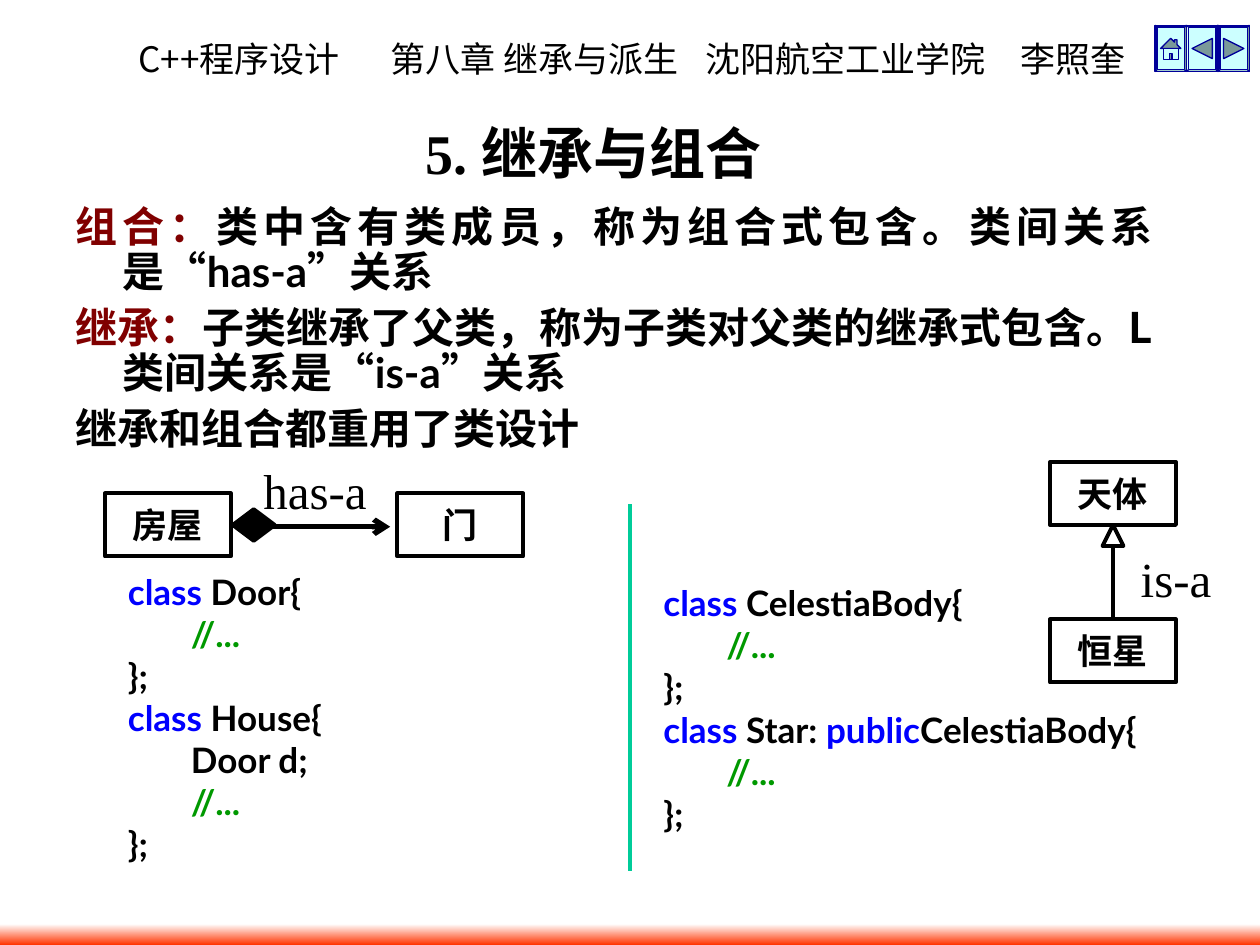
from lxml.etree import SubElement
from pptx import Presentation
from pptx.dml.color import RGBColor
from pptx.enum.shapes import MSO_CONNECTOR, MSO_SHAPE
from pptx.enum.text import MSO_ANCHOR, MSO_AUTO_SIZE, PP_ALIGN
from pptx.oxml.ns import qn
from pptx.util import Pt

BLACK, BLUE, GREEN, MAROON = "000000", "0000FF", "009900", "800000"
NAVY, PALE, GREY = "000099", "CCFFFF", "7A9999"
CJK, SERIF, SANS = "Noto Sans CJK SC", "Times New Roman", "Lato"


def write(shape, lines, size=20, font=SERIF, bold=False, align=PP_ALIGN.LEFT,
          anchor=MSO_ANCHOR.TOP, wrap=True, tabs=(), hanging=0, spacing=1, before=0):
    """Fill a shape with lines; each line is a list of (text, colour[, font]) spans."""
    frame = shape.text_frame
    frame.word_wrap, frame.vertical_anchor = wrap, anchor
    frame.auto_size = MSO_AUTO_SIZE.NONE
    for number, line in enumerate(lines):
        para = frame.add_paragraph() if number else frame.paragraphs[0]
        para.alignment, para.line_spacing = align, spacing
        para.space_before = Pt(before if number else 0)
        properties = para._p.get_or_add_pPr()
        properties.set("marL", str(Pt(hanging)))
        properties.set("indent", str(-Pt(hanging)))
        SubElement(properties, qn("a:buNone"))
        if tabs:
            stops = SubElement(properties, qn("a:tabLst"))
            for stop in tabs:
                SubElement(stops, qn("a:tab"), pos=str(Pt(stop)), algn="l")
        for text, colour, *own_font in line:
            span = para.add_run()
            span.text = text
            span.font.size, span.font.bold = Pt(size), bold
            span.font.color.rgb = RGBColor.from_string(colour)
            span.font.name = own_font[0] if own_font else font
            SubElement(span._r.get_or_add_rPr(), qn("a:ea"), typeface=CJK)


def paint(shape, fill=None, line=None, width=2.25):
    shape.shadow.inherit = False
    if fill:
        shape.fill.solid()
        shape.fill.fore_color.rgb = RGBColor.from_string(fill)
    else:
        shape.fill.background()
    if line:
        shape.line.color.rgb = RGBColor.from_string(line)
        shape.line.width = Pt(width)
    else:
        shape.line.fill.background()


deck = Presentation()
deck.slide_width, deck.slide_height = Pt(720), Pt(540)
page = deck.slides.add_slide(deck.slide_layouts[1])
shapes = page.shapes

# Course header and bottom band
header = shapes.add_textbox(Pt(72), Pt(18), Pt(594), Pt(31.5))
write(header, [[("C++程序设计\t第八章 继承与派生\t沈阳航空工业学院\t李照奎", BLACK)]],
      font=CJK, tabs=(129.5, 307.5, 477))

band = shapes.add_shape(MSO_SHAPE.RECTANGLE, Pt(0), Pt(528), Pt(720), Pt(12))
paint(band, "FF3300")
band.fill.gradient()
band.fill.gradient_angle = 270
for stop, colour, position in zip(band.fill.gradient_stops, ("FFFFFF", "FF3300"), (0, 1)):
    stop.color.rgb = RGBColor.from_string(colour)
    stop.position = position

# Navigation buttons, icon points relative to the button centre
roof = [(0, -5.8), (2.2, -3.6), (2.2, -5), (3.6, -5), (3.6, -2.2), (5.8, 0), (-5.8, 0)]
walls = [(-4.3, 0), (4.3, 0), (4.3, 6.4), (-4.3, 6.4)]
door = [(-0.7, 3), (0.7, 3), (0.7, 6.4), (-0.7, 6.4)]
back = [(-5.8, 0), (5.8, -5.8), (5.8, 5.8)]
forward = [(-5.8, -5.8), (5.8, 0), (-5.8, 5.8)]
buttons = [[(roof, GREY), (walls, PALE), (door, GREY)], [(back, GREY)], [(forward, GREY)]]
for column, icon in enumerate(buttons):
    left, top, width, height = 660 + 18 * column, 14.4, 18, 26.6
    button = shapes.add_shape(MSO_SHAPE.BEVEL, Pt(left), Pt(top), Pt(width), Pt(height))
    button.adjustments[0] = 0.06
    paint(button, PALE, NAVY, 0.75)
    for outline, colour in icon:
        points = [(Pt(left + width / 2 + x), Pt(top + height / 2 + y)) for x, y in outline]
        builder = shapes.build_freeform(*points[0])
        builder.add_line_segments(points[1:])
        paint(builder.convert_to_shape(), colour, NAVY, 0.75)

# Title and definitions
title, body = shapes.title, page.placeholders[1]
title.left, title.top, title.width, title.height = Pt(24), Pt(54), Pt(630), Pt(65.5)
write(title, [[("5. 继承与组合", BLACK)]], size=32, bold=True,
      align=PP_ALIGN.CENTER, anchor=MSO_ANCHOR.MIDDLE)
body.left, body.top, body.width, body.height = Pt(36), Pt(114), Pt(630), Pt(162)
write(body, [
    [("组合：", MAROON), ("类中含有类成员，称为组合式包含。类间关系是", BLACK),
     ("“has-a”关系", BLACK, SANS)],
    [("继承：", MAROON), ("子类继承了父类，称为子类对父类的继承式包含。L类间关系是", BLACK),
     ("“is-a”关系", BLACK, SANS)],
    [("继承和组合都重用了类设计", BLACK)],
], size=24, font=CJK, bold=True, align=PP_ALIGN.JUSTIFY, hanging=27, spacing=0.9, before=6)

# Class boxes and relation labels
for name, left, top in [("房屋", 60, 282), ("门", 227, 282), ("天体", 600, 264), ("恒星", 600, 354)]:
    box = shapes.add_shape(MSO_SHAPE.RECTANGLE, Pt(left), Pt(top), Pt(72), Pt(36))
    paint(box, line=BLACK)
    write(box, [[(name, BLACK)]], bold=True, align=PP_ALIGN.CENTER,
          anchor=MSO_ANCHOR.MIDDLE, wrap=False)
for relation, left, top in [("has-a", 132, 262), ("is-a", 624, 312)]:
    label = shapes.add_textbox(Pt(left), Pt(top), Pt(96), Pt(36))
    write(label, [[(relation, BLACK)]], size=28, align=PP_ALIGN.CENTER,
          anchor=MSO_ANCHOR.MIDDLE, wrap=False)

# Code columns
house_code = [
    [("class", BLUE), (" Door{", BLACK)],
    [("\t//...", GREEN)],
    [("};", BLACK)],
    [("class", BLUE), (" House{", BLACK)],
    [("\tDoor d;", BLACK)],
    [("\t//...", GREEN)],
    [("};", BLACK)],
]
star_code = [
    [("class", BLUE), (" CelestiaBody{", BLACK)],
    [("\t//...", GREEN)],
    [("};", BLACK)],
    [("class", BLUE), (" Star: ", BLACK), ("public", BLUE), ("CelestiaBody{", BLACK)],
    [("\t//...", GREEN)],
    [("};", BLACK)],
]
for code, left, top, width, height in [(house_code, 66, 322.5, 240, 175.5),
                                       (star_code, 372, 329, 348, 151)]:
    listing = shapes.add_textbox(Pt(left), Pt(top), Pt(width), Pt(height))
    write(listing, code, font=SANS, bold=True, tabs=(72,))

# Relation lines and column divider
for x1, y1, x2, y2, colour, width, ends in [
    (223, 301, 139, 301, BLACK, 3, {"headEnd": "arrow", "tailEnd": "diamond"}),
    (636, 354, 636, 312, BLACK, 2.25, {}),
    (360, 288, 360, 498, "00CC99", 2.25, {}),
]:
    line = shapes.add_connector(MSO_CONNECTOR.STRAIGHT, Pt(x1), Pt(y1), Pt(x2), Pt(y2))
    line.line.color.rgb = RGBColor.from_string(colour)
    line.line.width = Pt(width)
    for end, kind in ends.items():
        SubElement(line.line._get_or_add_ln(), qn(f"a:{end}"), type=kind)
    SubElement(line._element.spPr, qn("a:effectLst"))

inheritance = shapes.add_shape(MSO_SHAPE.ISOSCELES_TRIANGLE, Pt(630), Pt(300), Pt(12), Pt(12))
paint(inheritance, line=BLACK)
composition = shapes.add_shape(MSO_SHAPE.FLOWCHART_DECISION, Pt(133), Pt(291), Pt(24), Pt(18))
paint(composition, BLACK, BLACK)

deck.save("out.pptx")
